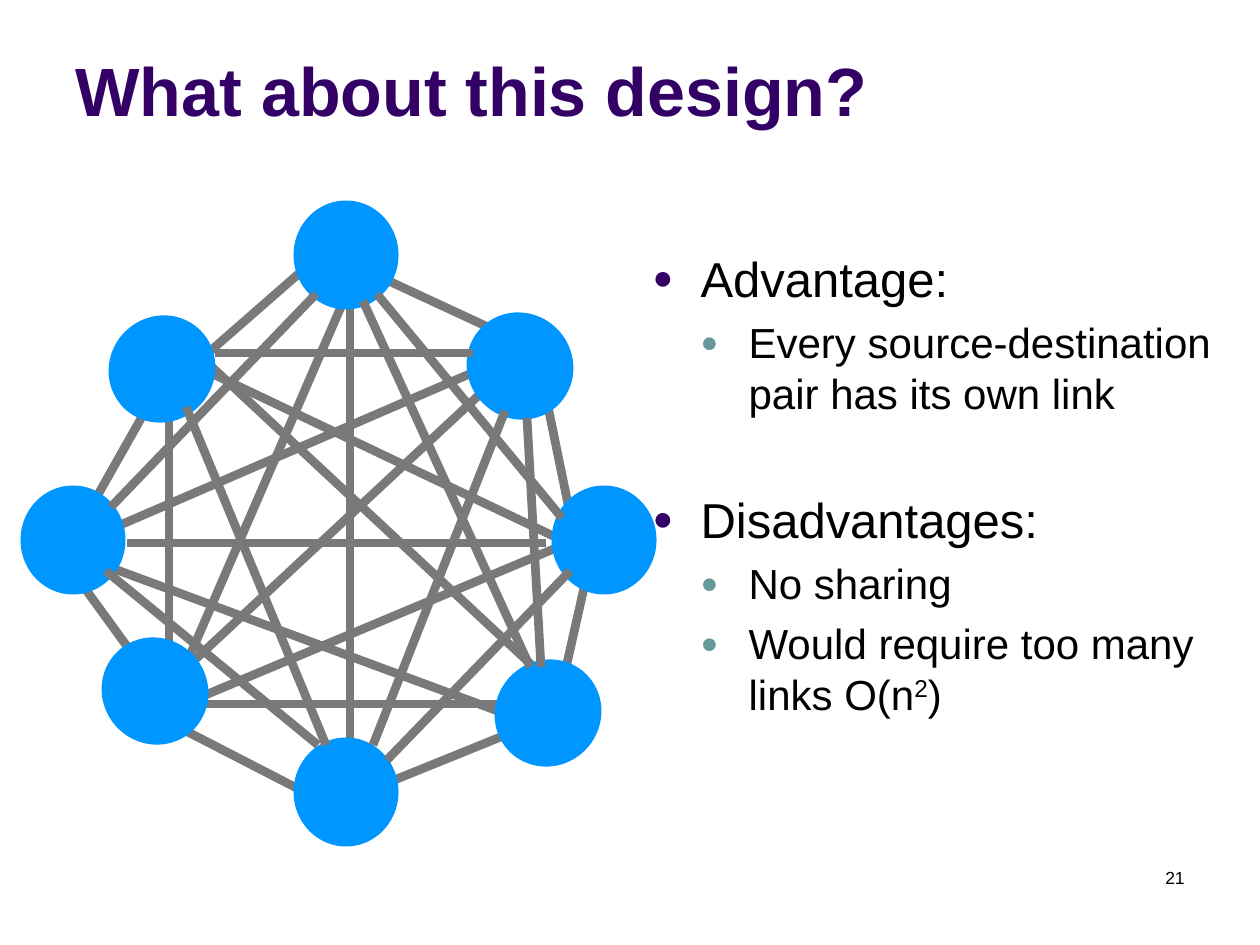
from typing import NamedTuple

from lxml import etree
from pptx import Presentation
from pptx import util as u
from pptx.dml.color import RGBColor
from pptx.enum import shapes, text
from pptx.oxml.ns import qn

SCALE = 914400 / 126
FONT = "Arial"
PURPLE = RGBColor(0x33, 0x00, 0x66)
TEAL = RGBColor(0x66, 0x99, 0x99)
BLACK = RGBColor(0, 0, 0)
GREY = RGBColor(0x79, 0x79, 0x79)
BLUE = RGBColor(0x00, 0x96, 0xFF)
NODE_W, NODE_H = 105, 109


class Link(NamedTuple):
    x1: int
    y1: int
    x2: int
    y2: int


class Node(NamedTuple):
    x: int
    y: int
    turn: int = 0


class Item(NamedTuple):
    words: str
    level: int = 0
    gap: float = 5.5
    power: str = ""
    tail: str = ""


BACK = [
    Link(169, 699, 169, 375), Link(127, 543, 546, 543),
    Link(184, 670, 537, 341), Link(350, 774, 350, 286),
    Link(537, 670, 184, 341), Link(568, 704, 184, 704),
    Link(568, 543, 184, 704), Link(568, 543, 215, 375),
    Link(311, 263, 208, 353), Link(518, 730, 350, 798),
    Link(537, 353, 576, 543), Link(350, 263, 518, 341),
    Link(169, 369, 73, 539), Link(169, 704, 73, 572),
    Link(316, 798, 184, 730), Link(559, 699, 591, 557),
    Link(88, 539, 518, 353), Link(82, 557, 549, 730),
    Link(169, 704, 350, 286),
]
NODES = [
    Node(520, 366, 138), Node(155, 691, 138),
    Node(73, 540), Node(604, 540),
    Node(346, 255), Node(346, 792),
    Node(162, 369, 42), Node(548, 713, 42),
]
FRONT = [
    Link(111, 507, 316, 294), Link(363, 301, 530, 667),
    Link(377, 294, 562, 518), Link(326, 745, 186, 407),
    Link(473, 353, 215, 353), Link(318, 745, 106, 571),
    Link(387, 760, 570, 571), Link(373, 745, 505, 411),
    Link(541, 667, 527, 418),
]
ITEMS = [
    Item("Advantage:", gap=0),
    Item("Every source-destination pair has its own link", 1),
    Item("Disadvantages:", gap=41),
    Item("No sharing", 1),
    Item("Would require too many links O(n", 1, power="2", tail=")"),
]


def px(n: float) -> int:
    return u.Emu(round(n * SCALE))


def place(shape, x: int, y: int, w: int, h: int) -> None:
    shape.left, shape.top, shape.width, shape.height = map(px, (x, y, w, h))


def style(para, size: int, color: RGBColor, bold: bool = False) -> None:
    font = para.font
    font.name, font.size, font.bold = FONT, u.Pt(size), bold
    font.color.rgb = color


def bullet(para, level: int) -> None:
    """Give the paragraph a hanging indent and a coloured dot."""
    props = para._p.get_or_add_pPr()
    props.set("marL", str(px(48 * (level + 1))))
    props.set("indent", str(px(-48)))
    tint = etree.SubElement(props, qn("a:buClr"))
    etree.SubElement(tint, qn("a:srgbClr"), val=str(TEAL if level else PURPLE))
    etree.SubElement(props, qn("a:buSzPct"), val="70000")
    etree.SubElement(props, qn("a:buChar"), char="●")


def add_item(para, item: Item) -> None:
    para.level = item.level
    para.space_before = u.Pt(item.gap)
    bullet(para, item.level)
    style(para, 24 if item.level else 28, BLACK)
    para.add_run().text = item.words
    if item.power:
        run = para.add_run()
        run.text = item.power
        run.font._element.set("baseline", "30000")
        para.add_run().text = item.tail


def add_link(slide, link: Link) -> None:
    line = slide.shapes.add_connector(
        shapes.MSO_CONNECTOR.STRAIGHT, *map(px, link))
    line.line.color.rgb = GREY
    line.line.width = u.Pt(5)
    etree.SubElement(line._element.spPr, qn("a:effectLst"))


def add_node(slide, node: Node) -> None:
    disc = slide.shapes.add_shape(
        shapes.MSO_SHAPE.OVAL, px(node.x - NODE_W / 2), px(node.y - NODE_H / 2),
        px(NODE_W), px(NODE_H))
    disc.rotation = node.turn
    disc.shadow.inherit = False
    disc.fill.solid()
    disc.fill.fore_color.rgb = BLUE
    disc.line.fill.background()


def main() -> None:
    deck = Presentation()
    deck.slide_width, deck.slide_height = px(1260), px(945)
    slide = deck.slides.add_slide(deck.slide_layouts[1])

    title, body = slide.placeholders
    place(title, 63, 16, 1197, 120)
    frame = title.text_frame
    frame.text = "What about this design?"
    frame.auto_size = text.MSO_AUTO_SIZE.NONE
    frame.vertical_anchor = text.MSO_ANCHOR.BOTTOM
    frame.paragraphs[0].alignment = text.PP_ALIGN.LEFT
    style(frame.paragraphs[0], 39, PURPLE, True)

    place(body, 640, 242, 598, 605)
    frame = body.text_frame
    frame.auto_size = text.MSO_AUTO_SIZE.NONE
    for i, item in enumerate(ITEMS):
        add_item(frame.add_paragraph() if i else frame.paragraphs[0], item)

    page = slide.shapes.add_textbox(px(903), px(861), px(294), px(63))
    page.text_frame.word_wrap = True
    para = page.text_frame.paragraphs[0]
    para.text = "21"
    para.alignment = text.PP_ALIGN.RIGHT
    style(para, 10, BLACK)

    for link in BACK:
        add_link(slide, link)
    for node in NODES:
        add_node(slide, node)
    for link in FRONT:
        add_link(slide, link)
    deck.save("out.pptx")


if __name__ == "__main__":
    main()
